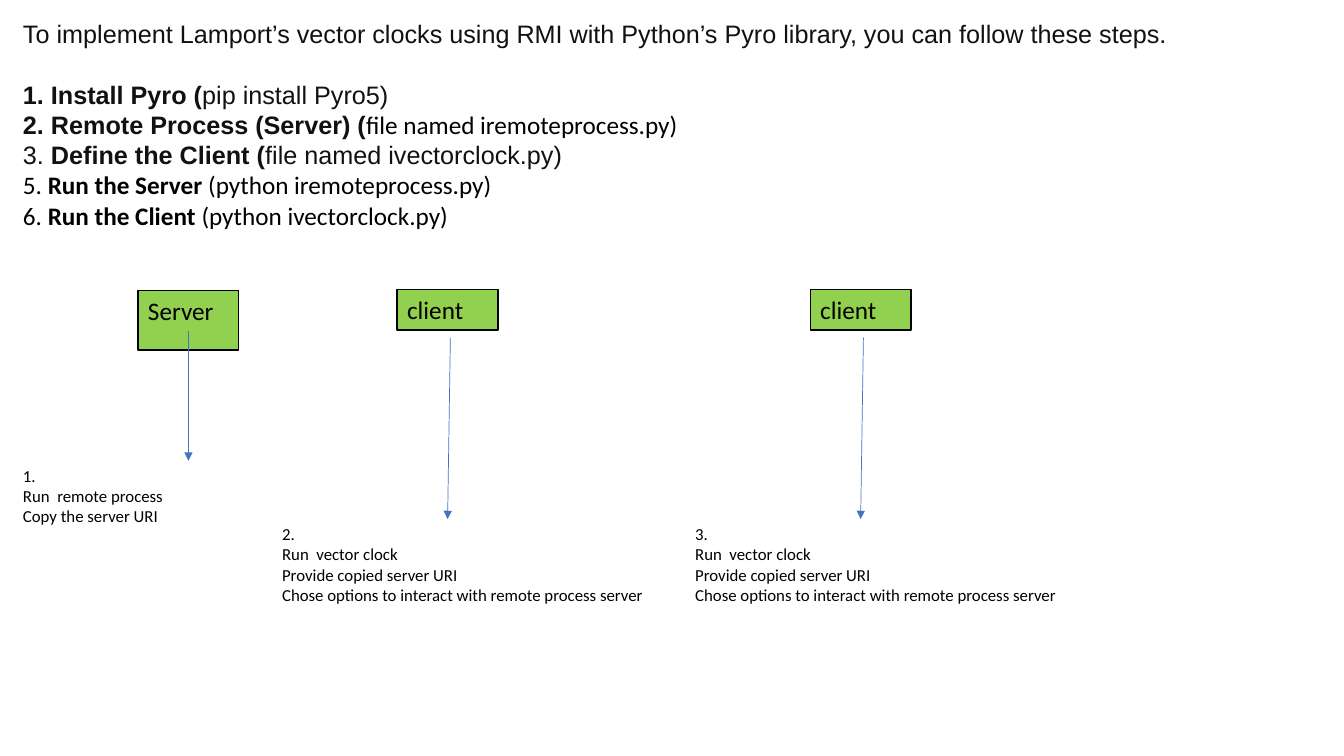
import dataclasses

import lxml.etree
import pptx
import pptx.dml.color
import pptx.enum.shapes
import pptx.enum.text
import pptx.oxml.ns
import pptx.util

Cm = pptx.util.Cm
Pt = pptx.util.Pt


def color(code):
    return pptx.dml.color.RGBColor.from_string(code)


@dataclasses.dataclass(frozen=True)
class Theme:
    ink = color("000000")
    dark = color("111111")
    green = color("92D050")
    blue = color("4472C4")
    body = Pt(18)
    small = Pt(12)


@dataclasses.dataclass(frozen=True)
class Box:
    """An area in centimetres."""
    left: float
    top: float
    width: float
    height: float

    def lengths(self):
        return [Cm(n) for n in (self.left, self.top, self.width, self.height)]


PLAIN = ("Calibri", Theme.ink)
FORMAL = ("Arial", Theme.dark)

# Each line is a list of runs: text, bold, style.
STEPS = [
    [("To implement Lamport’s vector clocks using RMI with Python’s Pyro "
      "library, you can follow these steps.", False, FORMAL)],
    [("1. Install Pyro (", True, FORMAL),
     ("pip install Pyro5)", False, FORMAL)],
    [("2. Remote Process (Server) (", True, FORMAL),
     ("file named iremoteprocess.py)", False, PLAIN)],
    [("3. ", False, FORMAL), ("Define the Client (", True, FORMAL),
     ("file named ivectorclock.py)", False, FORMAL)],
    [("5. ", False, PLAIN), ("Run the Server ", True, PLAIN),
     ("(python iremoteprocess.py)", False, PLAIN)],
    [("6. ", False, PLAIN), ("Run the Client ", True, PLAIN),
     ("(python ivectorclock.py)", False, PLAIN)],
]
SERVER = ["Run  remote process", "Copy the server URI"]
CLIENT = ["Run  vector clock", "Provide copied server URI",
          "Chose options to interact with remote process server"]


def write(shape, lines, size):
    """Fill a shape with left-aligned lines, run by run."""
    frame = shape.text_frame
    frame.word_wrap = True
    frame.vertical_anchor = pptx.enum.text.MSO_ANCHOR.TOP
    for i, line in enumerate(lines):
        para = frame.paragraphs[0] if i == 0 else frame.add_paragraph()
        para.alignment = pptx.enum.text.PP_ALIGN.LEFT
        for text, bold, (face, ink) in line:
            run = para.add_run()
            run.text = text
            run.font.name = face
            run.font.size = size
            run.font.bold = bold
            run.font.color.rgb = ink
    return frame


def plain(lines):
    return [[(text, False, PLAIN)] for text in lines]


def steps(slide, box):
    frame = write(slide.shapes.add_textbox(*box.lengths()), STEPS, Theme.body)
    frame.paragraphs[0].space_after = Pt(22)


def node(slide, box, name):
    shape = slide.shapes.add_shape(
        pptx.enum.shapes.MSO_SHAPE.RECTANGLE, *box.lengths())
    shape.shadow.inherit = False
    shape.fill.solid()
    shape.fill.fore_color.rgb = Theme.green
    shape.line.color.rgb = Theme.ink
    shape.line.width = Pt(1)
    write(shape, plain([name]), Theme.body)


def arrow(slide, start, end):
    line = slide.shapes.add_connector(
        pptx.enum.shapes.MSO_CONNECTOR.STRAIGHT,
        *[Cm(n) for n in (*start, *end)])
    line.line.color.rgb = Theme.blue
    line.line.width = Pt(0.5)
    qn = pptx.oxml.ns.qn
    tail = lxml.etree.SubElement(line.line._get_or_add_ln(), qn("a:tailEnd"))
    tail.set("type", "triangle")
    lxml.etree.SubElement(line._element.spPr, qn("a:effectLst"))


def column(slide, box, name, lines, tall, drop, lean):
    """Place a node, an arrow starting drop below its top, and a note."""
    side, wide = 3.15, 2.54
    high = 0.29 + 0.51 * len(lines)
    left = box.left + side
    foot = box.top + box.height - high
    mid = left + wide / 2
    node(slide, Box(left, box.top, wide, tall), name)
    arrow(slide, (mid + lean, box.top + drop), (mid, foot))
    note = slide.shapes.add_textbox(
        *Box(box.left, foot, box.width, high).lengths())
    write(note, plain(lines), Theme.small)


def main():
    deck = pptx.Presentation()
    deck.slide_width = Cm(33.87)
    deck.slide_height = Cm(19.05)
    slide = deck.slides.add_slide(deck.slide_layouts[6])
    steps(slide, Box(0.33, 0.33, 31.83, 5.64))
    column(slide, Box(0.33, 7.32, 7.82, 6.11), "Server",
           ["1."] + SERVER, 1.5, 1.01, 0)
    for i in range(2):
        column(slide, Box(6.86 + 10.41 * i, 7.3, 9.78, 8.11), "client",
               [f"{i + 2}."] + CLIENT, 1.02, 1.21, 0.07)
    deck.save("out.pptx")


if __name__ == "__main__":
    main()
